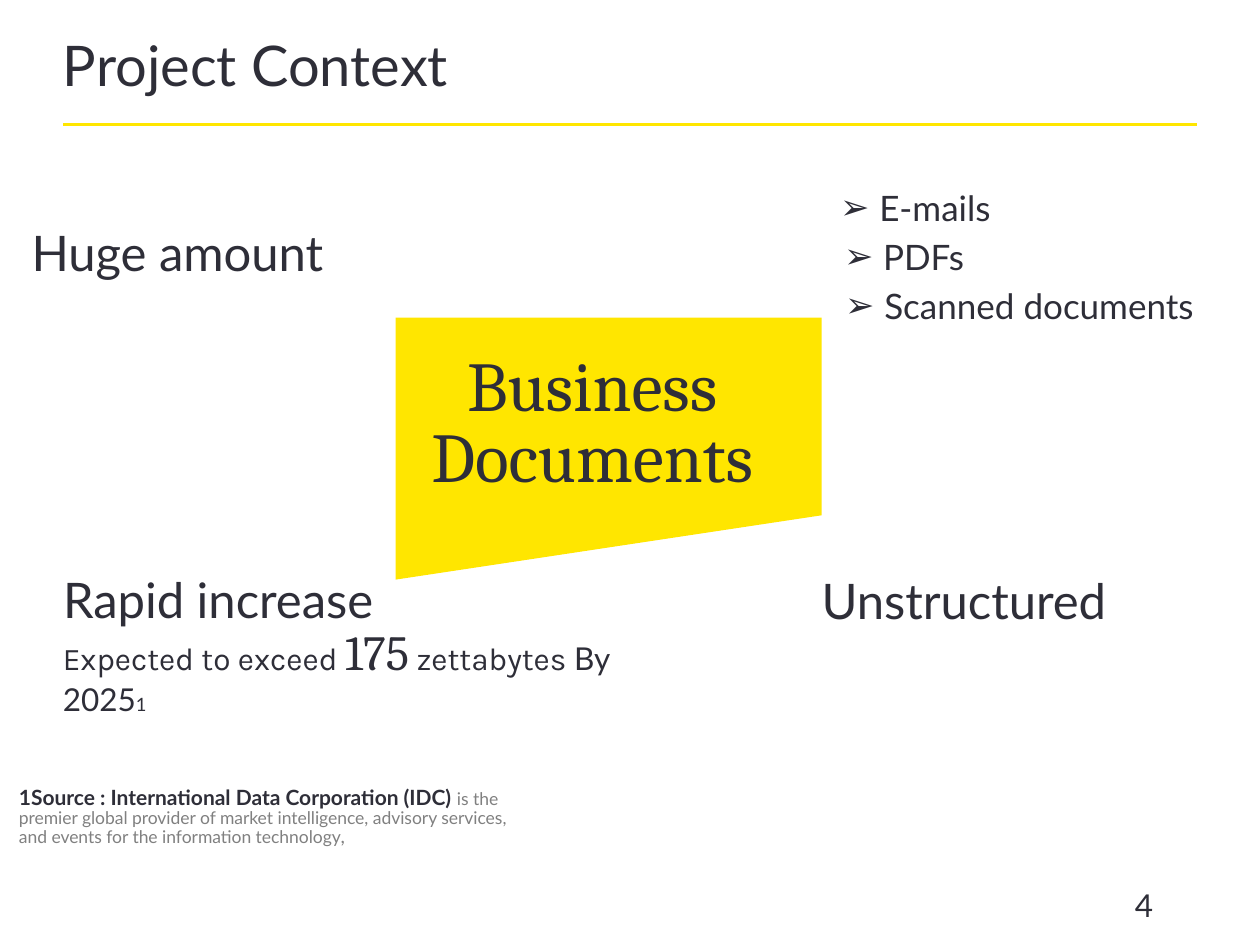
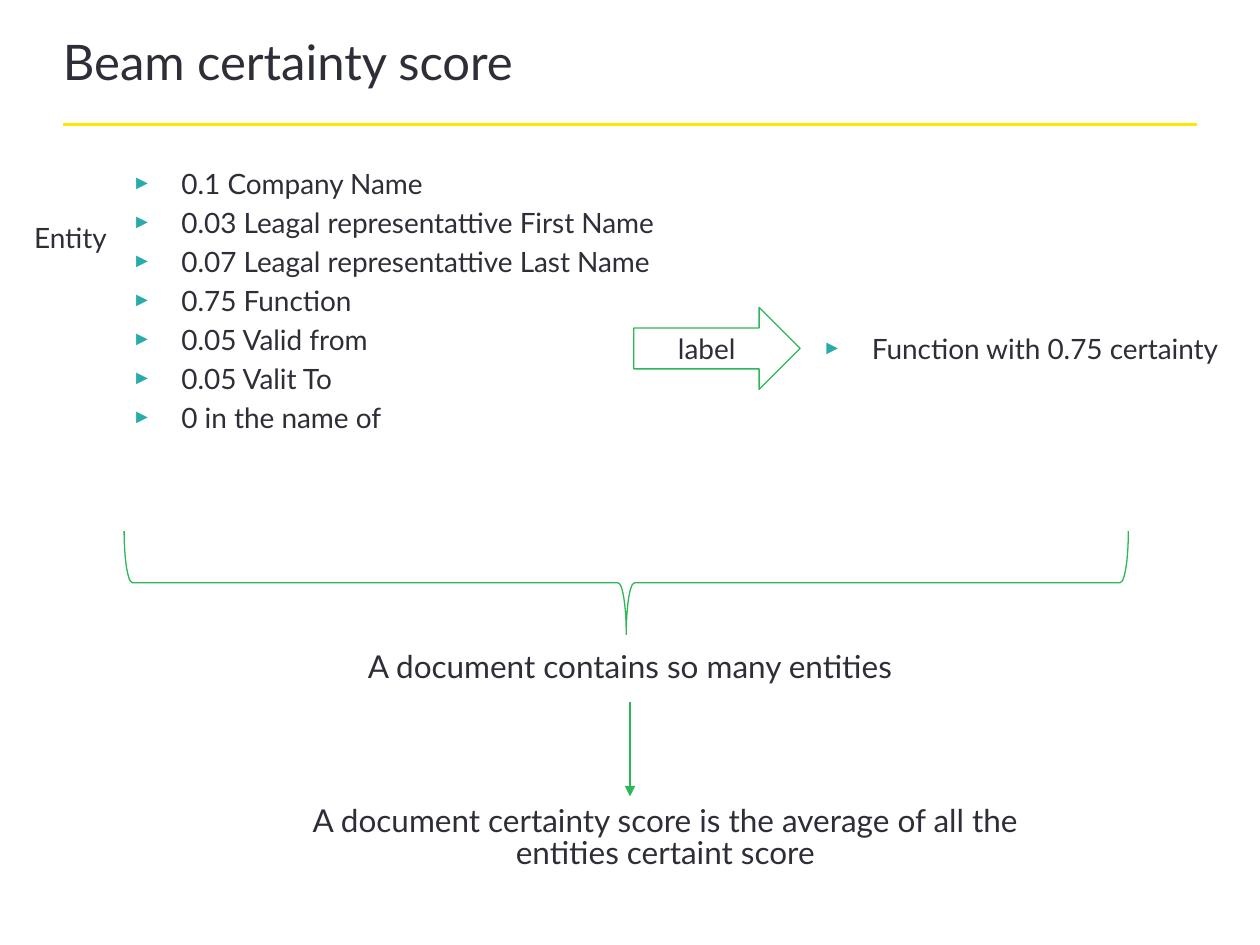
import pptx
import pptx.util
import pptx.dml.color
import pptx.enum.shapes
import pptx.enum.text
import pptx.oxml.ns
from lxml import etree

Color = pptx.dml.color.RGBColor
Shape = pptx.enum.shapes.MSO_SHAPE
Align = pptx.enum.text.PP_ALIGN
Anchor = pptx.enum.text.MSO_ANCHOR
Fit = pptx.enum.text.MSO_AUTO_SIZE

INK = Color(0x2E, 0x2E, 0x38)
YELLOW = Color(0xFF, 0xE6, 0x00)
GREEN = Color(0x2D, 0xB7, 0x57)
TEAL = Color(0x27, 0xAC, 0xAA)
GREY = Color(0x80, 0x80, 0x80)
COLS, ROWS = 100, 75
TIGHT = dict(space=0.85, after=6)


def add(root, tag, **attrs):
    """Append a drawing element with attributes."""
    return etree.SubElement(root, pptx.oxml.ns.qn("a:" + tag), attrs)


def mark(para, char, indent, tint=None, scale=100):
    """Give a paragraph a hanging bullet."""
    props = para._p.get_or_add_pPr()
    hang = pptx.util.Inches(indent)
    props.set("marL", str(hang))
    props.set("indent", str(-hang))
    if tint is not None:
        add(add(props, "buClr"), "srgbClr", val=str(tint))
    add(props, "buSzPct", val=str(scale * 1000))
    add(props, "buFont", typeface="Arial")
    add(props, "buChar", char=char)


def write(para, text, size=16, font="Lato", color=INK, bold=False,
          align=None, space=None, after=None, bullet=None):
    """Write text, or runs of text and format, into a paragraph."""
    para.alignment = align
    if space:
        para.line_spacing = space
    if after:
        para.space_after = pptx.util.Pt(after)
    if bullet:
        mark(para, **bullet)
    base = dict(size=size, font=font, color=color, bold=bold)
    for words, own in [(text, {})] if isinstance(text, str) else text:
        style = {**base, **own}
        run = para.add_run()
        run.text = words
        run.font.size = pptx.util.Pt(style["size"])
        run.font.name = style["font"]
        run.font.bold = style["bold"]
        run.font.color.rgb = style["color"]


class Deck:
    """Hold the shared style and the current slide."""

    def __init__(self):
        """Start an empty deck on a grid of columns and rows."""
        self.file = pptx.Presentation()
        self.file.slide_width = pptx.util.Inches(10)
        self.file.slide_height = pptx.util.Inches(7.5)
        self.col = self.file.slide_width / COLS
        self.row = self.file.slide_height / ROWS

    def place(self, *spots):
        """Turn column and row pairs into lengths."""
        return [round(spot * (self.row if i % 2 else self.col))
                for i, spot in enumerate(spots)]

    def page(self, title, size):
        """Open a slide with its title and rule."""
        self.slide = self.file.slides.add_slide(self.file.slide_layouts[6])
        self.line((5, 9.9), (95, 9.9), YELLOW, 1.5)
        self.text(title, (5, 3.2, 90, 6.5), inset=(0, 0), fit=Fit.NONE,
                  size=size, space=0.85)

    def text(self, lines, box, inset=(0, 0.04), fit=Fit.SHAPE_TO_FIT_TEXT,
             anchor=Anchor.TOP, **style):
        """Place a text box with one or more paragraphs."""
        frame = self.slide.shapes.add_textbox(*self.place(*box)).text_frame
        frame.word_wrap = True
        frame.auto_size = fit
        frame.vertical_anchor = anchor
        if inset:
            frame.margin_left, frame.margin_top = map(pptx.util.Inches, inset)
            frame.margin_right = frame.margin_bottom = 0
        for i, line in enumerate([lines] if isinstance(lines, str) else lines):
            para = frame.add_paragraph() if i else frame.paragraphs[0]
            write(para, line, **style)

    def line(self, start, end, color, width=0.75, arrow=False):
        """Draw a straight line or arrow."""
        link = self.slide.shapes.add_connector(
            pptx.enum.shapes.MSO_CONNECTOR.STRAIGHT, *self.place(*start, *end))
        link.line.color.rgb = color
        link.line.width = pptx.util.Pt(width)
        if arrow:
            add(link.line._get_or_add_ln(), "tailEnd", type="triangle")
        add(link._element.spPr, "effectLst")

    def shape(self, kind, box, turn=0, bends=()):
        """Draw a hollow green preset shape."""
        item = self.slide.shapes.add_shape(kind, *self.place(*box))
        item.shadow.inherit = False
        item.fill.background()
        item.line.color.rgb = GREEN
        item.line.width = pptx.util.Pt(0.75)
        item.rotation = turn
        for i, bend in enumerate(bends):
            item.adjustments[i] = bend
        return item

    def patch(self, points, color):
        """Fill a free outline without a border."""
        first, *rest = [self.place(*point) for point in points]
        form = self.slide.shapes.build_freeform(*first)
        form.add_line_segments(rest, close=True)
        item = form.convert_to_shape()
        item.shadow.inherit = False
        item.fill.solid()
        item.fill.fore_color.rgb = color
        item.line.fill.background()


def context(deck):
    """Build the project context slide."""
    deck.page("Project Context", 32)
    kinds = [("E-mails", 65.7), ("PDFs", 66), ("Scanned documents", 66.1)]
    for i, (kind, left) in enumerate(kinds):
        deck.text(kind, (left, 14.3 + 3.9 * i, 33.5, 4.4), inset=None, size=20,
                  bullet=dict(char="➢", indent=0.31))
    for head, left, top in [("Huge amount", 2.5, 18),
                            ("Unstructured", 65.2, 45.6),
                            ("Rapid increase", 5, 45.5)]:
        deck.text(head, (left, top, 33.8, 4.4), size=28, **TIGHT)
    karla = dict(font="Karla")
    deck.text([[("Expected to exceed ", karla),
                ("175", dict(size=28, font="Cambria")),
                (" zettabytes ", karla), ("By 2025", {}),
                ("1", dict(size=10.5))]],
              (4, 48.8, 50.6, 5.7), inset=None, size=18)
    deck.patch([(31.4, 46), (31.4, 25.2), (65.2, 25.2), (65.2, 40.9)], YELLOW)
    deck.text("Business Documents", (30.1, 27.7, 33.8, 11.8), size=40,
              font="Cambria", align=Align.CENTER, **TIGHT)
    deck.text([[("1Source : International Data Corporation (IDC) ",
                 dict(size=12, color=INK, bold=True)),
                ("is the premier global provider of market intelligence, "
                 "advisory services, and events for the information "
                 "technology", {}), (",", dict(size=11))]],
              (1.5, 62.2, 40.8, 5.1), size=10, color=GREY, **TIGHT)
    deck.text("4", (89.1, 70.8, 7.3, 2), inset=None, fit=Fit.NONE,
              anchor=Anchor.MIDDLE, size=18)


def score(deck):
    """Build the certainty score slide."""
    deck.page("Beam certainty score", 28)
    item = dict(bullet=dict(char="►", indent=0.39, tint=TEAL, scale=70),
                **TIGHT)
    deck.text("Entity", (2.7, 17.5, 7.2, 2.7), **TIGHT)
    deck.text(["0.1 Company Name", "0.03 Leagal representattive First Name",
               "0.07 Leagal representattive Last Name", "0.75 Function",
               "0.05 Valid from", "0.05 Valit To", "0 in the name of"],
              (10.5, 13.2, 43.4, 24.6), **item)
    arrow = deck.shape(Shape.RIGHT_ARROW, (50.3, 24.4, 13.2, 6.5))
    write(arrow.text_frame.paragraphs[0], "label", align=Align.CENTER)
    deck.text("Function with 0.75 certainty", (65.3, 26.3, 34.7, 2.7), **item)
    deck.shape(Shape.RIGHT_BRACE, (45.6, 6.4, 8.2, 79.7), turn=90,
               bends=(0.08, 0.5))
    note = dict(size=18, align=Align.CENTER, **TIGHT)
    deck.text("A document contains so many entities",
              (24.4, 51.4, 51.2, 3), **note)
    deck.line((50, 55.7), (50, 63.2), GREEN, arrow=True)
    deck.text("A document certainty score is the average of all the "
              "entities certaint score", (22.2, 63.6, 61.2, 5.6), **note)


def main():
    """Build and save the deck."""
    deck = Deck()
    context(deck)
    score(deck)
    deck.file.save("out.pptx")


if __name__ == "__main__":
    main()
